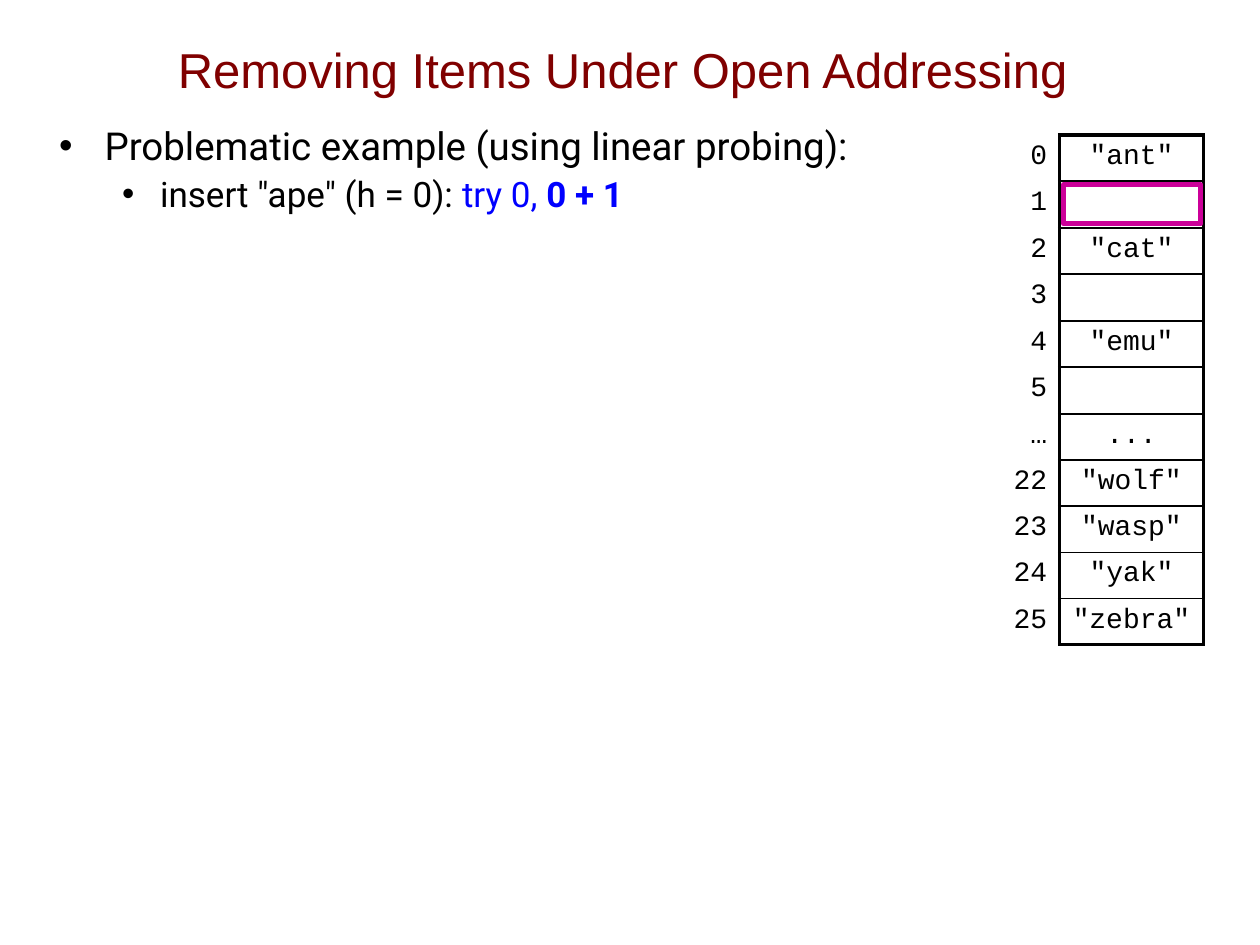
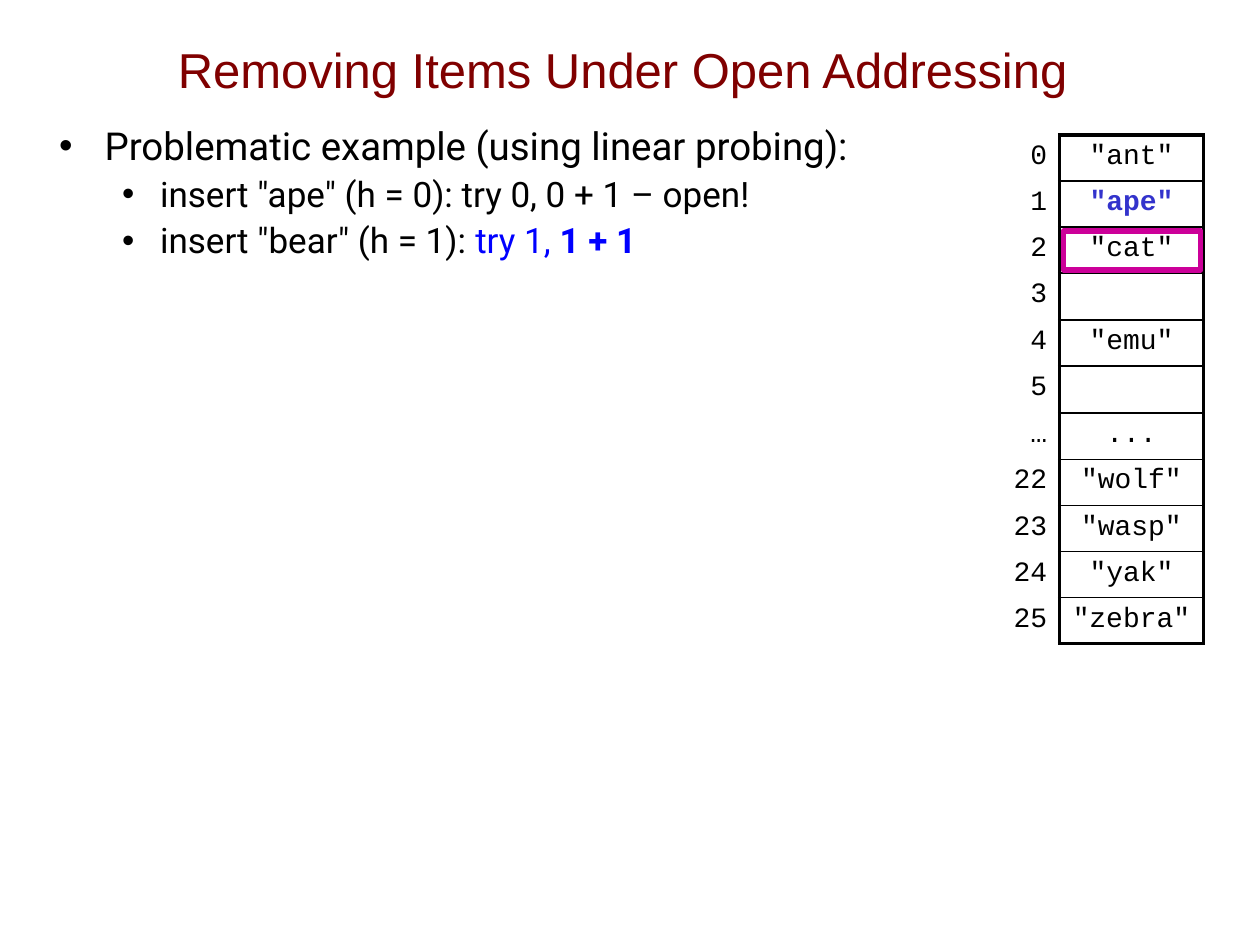
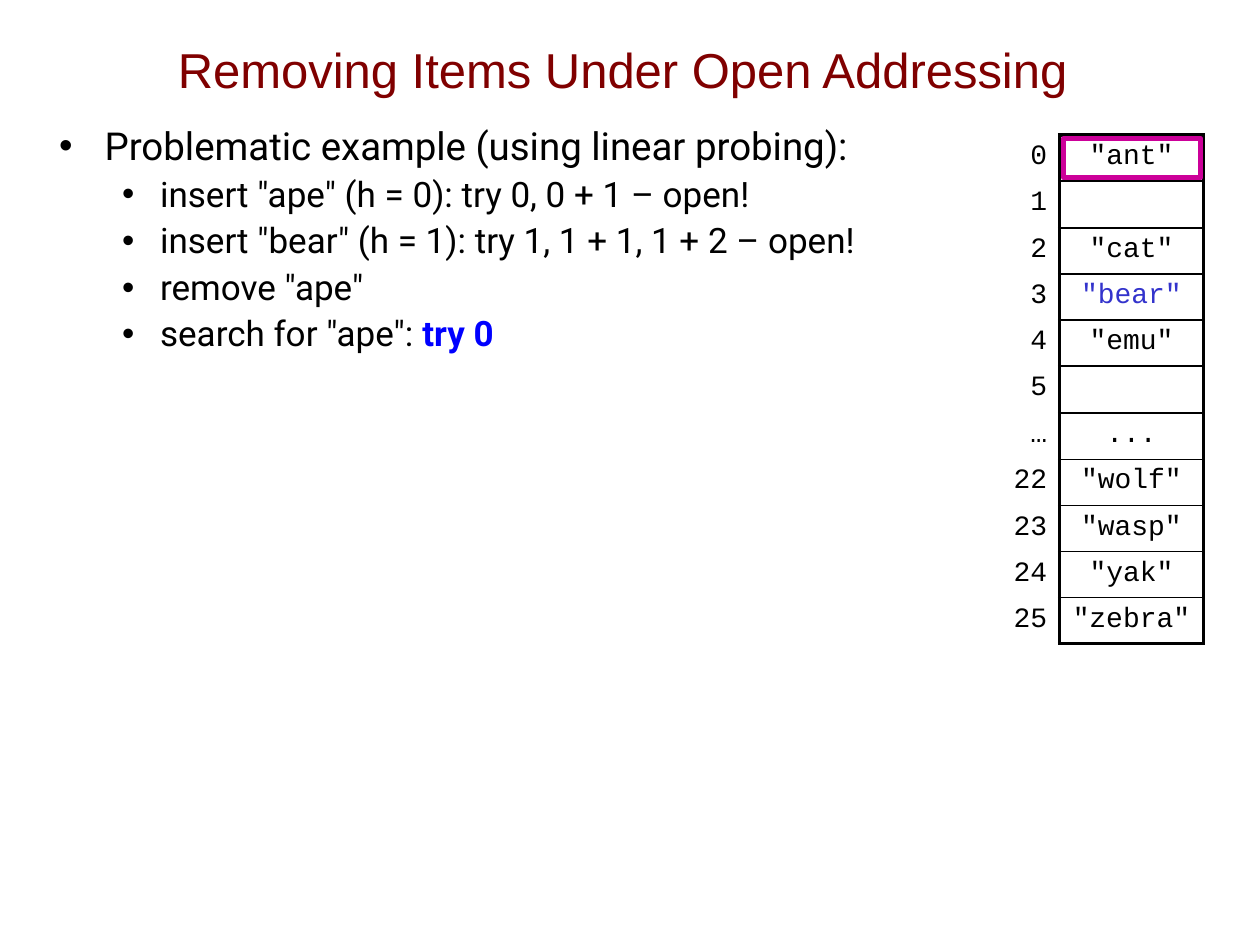
from dataclasses import dataclass, field

from lxml.etree import SubElement
from pptx import Presentation
from pptx.dml.color import RGBColor
from pptx.enum.shapes import MSO_SHAPE
from pptx.enum.text import MSO_ANCHOR, MSO_AUTO_SIZE, PP_ALIGN
from pptx.oxml.ns import qn
from pptx.util import Inches, Pt


@dataclass(frozen=True)
class Theme:
    black: str = "000000"
    title_color: str = "800000"
    active: str = "0000FF"
    inserted: str = "3333CC"
    probe: str = "CC0099"
    title_font: str = "Arial"
    body_font: str = "Roboto"
    code_font: str = "Courier New"
    title_size: float = 28
    heading_size: float = 22
    step_size: float = 20
    code_size: float = 16
    outer_line: float = 2.25
    inner_line: float = 1
    probe_line: float = 3


THEME = Theme()


@dataclass(frozen=True)
class Span:
    text: str
    color: str = THEME.black
    bold: bool = False


@dataclass(frozen=True)
class Level:
    depth: int
    margin: float
    hanging: float
    line_spacing: float
    space_before: float
    size: float


@dataclass(frozen=True)
class ProbeSlide:
    steps: list[list[Span]]
    probed_row: int
    inserted: dict[str, Span] = field(default_factory=dict)


TITLE = "Removing Items Under Open Addressing"
HEADING = "Problematic example (using linear probing):"
HEADING_LEVEL = Level(0, 0.36, 0.36, 1.0, 0, THEME.heading_size)
STEP_LEVEL = Level(1, 0.8, 0.3, 0.9, 5, THEME.step_size)
TAB_STOPS = (0.62, 0.87)
BUCKETS = {
    "0": '"ant"', "1": "", "2": '"cat"', "3": "", "4": '"emu"', "5": "",
    "…": "...", "22": '"wolf"', "23": '"wasp"', "24": '"yak"', "25": '"zebra"',
}
TABLE_LEFT, TABLE_TOP, TABLE_HEIGHT = 7.26, 1.07, 4.03
COLUMN_WIDTHS = (1.15, 1.14)
ROW_HEIGHT = TABLE_HEIGHT / len(BUCKETS)
NO_GRID_STYLE = "{2D5ABB26-0587-4C30-8999-92F81FD0307C}"

APE_DONE = [Span('insert "ape" (h = 0): try 0, 0 + 1 – open!')]
BEAR_DONE = [Span('insert "bear" (h = 1): try 1, 1 + 1, 1 + 2 – open!')]

SLIDES = [
    ProbeSlide(
        [[Span('insert "ape" (h = 0): '), Span("try 0,", THEME.active),
          Span(" 0 + 1", THEME.active, True)]],
        probed_row=1,
    ),
    ProbeSlide(
        [APE_DONE,
         [Span('insert "bear" (h = 1): '), Span("try 1, ", THEME.active),
          Span("1 + 1", THEME.active, True)]],
        probed_row=2,
        inserted={"1": Span('"ape"', THEME.inserted, True)},
    ),
    ProbeSlide(
        [APE_DONE, BEAR_DONE, [Span('remove "ape"')],
         [Span('search for "ape": '), Span("try 0", THEME.active, True)]],
        probed_row=0,
        inserted={"3": Span('"bear"', THEME.inserted)},
    ),
]


def place(sp, left: float, top: float, width: float, height: float) -> None:
    sp.left, sp.top = Inches(left), Inches(top)
    sp.width, sp.height = Inches(width), Inches(height)


def add_run(p, span: Span, font: str, size: float) -> None:
    r = p.add_run()
    r.text = span.text
    r.font.name = font
    r.font.size = Pt(size)
    r.font.bold = span.bold
    r.font.color.rgb = RGBColor.from_string(span.color)


def format_bullet(p, level: Level) -> None:
    p.level = level.depth
    pPr = p._p.get_or_add_pPr()
    pPr.set("marL", str(Inches(level.margin)))
    pPr.set("indent", str(-Inches(level.hanging)))
    color = SubElement(pPr, qn("a:buClr"))
    SubElement(color, qn("a:srgbClr"), val=THEME.black)
    SubElement(pPr, qn("a:buFont"), typeface=THEME.title_font)
    SubElement(pPr, qn("a:buChar"), char="•")
    tabs = SubElement(pPr, qn("a:tabLst"))
    for stop in TAB_STOPS:
        SubElement(tabs, qn("a:tab"), pos=str(Inches(stop)), algn="l")
    p.line_spacing = level.line_spacing
    p.space_before = Pt(level.space_before)


def fill_title(sp) -> None:
    place(sp, 0.64, 0.08, 8.6, 0.93)
    tf = sp.text_frame
    tf.auto_size = MSO_AUTO_SIZE.NONE
    tf.vertical_anchor = MSO_ANCHOR.MIDDLE
    p = tf.paragraphs[0]
    p.alignment = PP_ALIGN.CENTER
    add_run(p, Span(TITLE, THEME.title_color), THEME.title_font, THEME.title_size)


def fill_body(sp, steps: list[list[Span]]) -> None:
    place(sp, 0.37, 0.92, 9.25, 6.14)
    tf = sp.text_frame
    tf.auto_size = MSO_AUTO_SIZE.NONE
    items = [(HEADING_LEVEL, [Span(HEADING)])] + [(STEP_LEVEL, s) for s in steps]
    for i, (level, spans) in enumerate(items):
        p = tf.add_paragraph() if i else tf.paragraphs[0]
        format_bullet(p, level)
        for span in spans:
            add_run(p, span, THEME.body_font, level.size)


def add_border(cell, side: str, width: float) -> None:
    tcPr = cell._tc.get_or_add_tcPr()
    line = SubElement(tcPr, qn(f"a:ln{side}"), w=str(Pt(width)))
    fill = SubElement(line, qn("a:solidFill"))
    SubElement(fill, qn("a:srgbClr"), val=THEME.black)


def fill_cell(cell, span: Span, align: PP_ALIGN, borders: dict[str, float]) -> None:
    for side, width in borders.items():
        add_border(cell, side, width)
    cell.fill.background()
    p = cell.text_frame.paragraphs[0]
    p.alignment = align
    if span.text:
        add_run(p, span, THEME.code_font, THEME.code_size)
    else:
        SubElement(p._p, qn("a:endParaRPr"), sz=str(int(THEME.code_size * 100)))


def add_hash_table(s, inserted: dict[str, Span]) -> None:
    frame = s.shapes.add_table(
        len(BUCKETS), len(COLUMN_WIDTHS), Inches(TABLE_LEFT), Inches(TABLE_TOP),
        Inches(sum(COLUMN_WIDTHS)), Inches(TABLE_HEIGHT))
    table = frame.table
    table.first_row = table.horz_banding = False
    for style in frame.element.iter(qn("a:tableStyleId")):
        style.text = NO_GRID_STYLE
    for column, width in zip(table.columns, COLUMN_WIDTHS):
        column.width = Inches(width)
    outer, inner = THEME.outer_line, THEME.inner_line
    last = len(BUCKETS) - 1
    for row, (index, item) in enumerate(BUCKETS.items()):
        table.rows[row].height = Inches(ROW_HEIGHT)
        fill_cell(table.cell(row, 0), Span(index), PP_ALIGN.RIGHT, {"R": outer})
        borders = {
            "L": outer,
            "R": outer,
            "T": outer if row == 0 else inner,
            "B": outer if row == last else inner,
        }
        fill_cell(table.cell(row, 1), inserted.get(index, Span(item)),
                  PP_ALIGN.CENTER, borders)


def add_probe_box(s, row: int) -> None:
    sp = s.shapes.add_shape(
        MSO_SHAPE.RECTANGLE, Inches(8.44),
        Inches(TABLE_TOP + 0.03 + row * ROW_HEIGHT), Inches(1.09), Inches(0.31))
    sp.shadow.inherit = False
    sp.fill.background()
    sp.line.color.rgb = RGBColor.from_string(THEME.probe)
    sp.line.width = Pt(THEME.probe_line)


def main() -> None:
    prs = Presentation()
    prs.slide_width, prs.slide_height = Inches(10), Inches(7.5)
    for content in SLIDES:
        s = prs.slides.add_slide(prs.slide_layouts[1])
        fill_title(s.shapes.title)
        fill_body(s.placeholders[1], content.steps)
        add_hash_table(s, content.inserted)
        add_probe_box(s, content.probed_row)
    prs.save("out.pptx")


if __name__ == "__main__":
    main()
